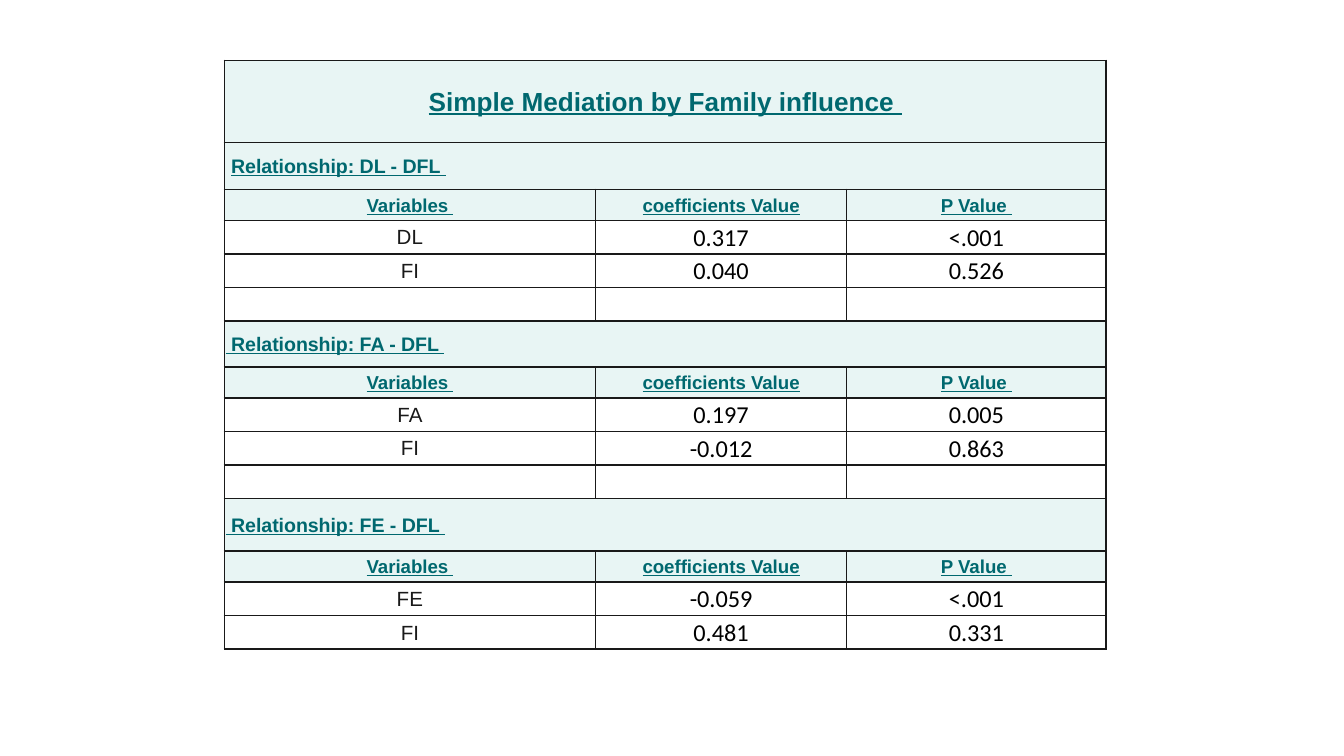
from lxml.etree import SubElement
from pptx import Presentation
from pptx.dml.color import RGBColor
from pptx.enum.text import MSO_ANCHOR, PP_ALIGN
from pptx.oxml.ns import qn
from pptx.util import Inches, Pt

TEAL = RGBColor(0x00, 0x68, 0x6F)
MINT = RGBColor(0xE8, 0xF5, 0xF4)
INK = RGBColor(0x19, 0x19, 0x19)
BLACK = RGBColor(0, 0, 0)
WHITE = RGBColor(255, 255, 255)

HEAD = {"name": "Arial", "bold": True, "underline": True}
TITLE = {**HEAD, "size": Pt(14)}
GROUP = {**HEAD, "size": Pt(10.5)}
LABEL = {**HEAD, "size": Pt(10)}
NAME = {"name": "Arial", "size": Pt(11), "bold": False, "underline": False}
VALUE = {**NAME, "name": "Calibri", "size": Pt(13)}

COLS = [2.76, 1.87, 1.93]
LABELS = ["Variables ", "coefficients Value", "P Value "]
GROUPS = [
    ("DL", 0.35, [("DL", "0.317", "<.001"), ("FI", "0.040", "0.526")]),
    ("FA", 0.34, [("FA", "0.197", "0.005"), ("FI", "-0.012", "0.863")]),
    ("FE", 0.39, [("FE", "-0.059", "<.001"), ("FI", "0.481", "0.331")]),
]


def write(cell, text, style, color, fill, align=PP_ALIGN.CENTER):
    cell.fill.solid()
    cell.fill.fore_color.rgb = fill
    para = cell.text_frame.paragraphs[0]
    para.alignment = align
    run = para.add_run()
    run.text = text
    for key, value in style.items():
        setattr(run.font, key, value)
    run.font.color.rgb = color
    return run


# Each row: height, kind, texts
rows = [(0.61, "title", ["Simple Mediation by Family influence "])]
for i, (name, height, data) in enumerate(GROUPS):
    if i:
        rows.append((0.25, "gap", []))
    rows.append((height, "group", [f"Relationship: {name} - DFL "]))
    rows.append((0.23, "label", LABELS))
    rows += [(0.25, "data", texts) for texts in data]

prs = Presentation()
prs.slide_width = Inches(10)
prs.slide_height = Inches(10) * 9 // 16
slide = prs.slides.add_slide(prs.slide_layouts[6])
frame = slide.shapes.add_table(
    len(rows), len(COLS), Inches(1.67), Inches(0.45),
    Inches(sum(COLS)), Inches(sum(row[0] for row in rows)))
table = frame.table
table.first_row = table.horz_banding = False
for col, width in zip(table.columns, COLS):
    col.width = Inches(width)

for cell in table.iter_cells():
    cell.vertical_anchor = MSO_ANCHOR.MIDDLE
    cell.margin_left = cell.margin_right = cell.margin_top = Inches(0.01)
    cell.margin_bottom = 0
    props = cell._tc.get_or_add_tcPr()
    for side in ("lnL", "lnR", "lnT", "lnB"):
        line = SubElement(props, qn(f"a:{side}"), w=str(Pt(1)))
        paint = SubElement(line, qn("a:solidFill"))
        SubElement(paint, qn("a:srgbClr"), val=str(INK))

for r, (height, kind, texts) in enumerate(rows):
    table.rows[r].height = Inches(height)
    cells = list(table.rows[r].cells)
    if kind in ("title", "group"):
        cells[0].merge(cells[-1])
    if kind == "title":
        write(cells[0], texts[0], TITLE, TEAL, MINT)
    elif kind == "group":
        lead = write(cells[0], " ", GROUP, TEAL, MINT, PP_ALIGN.LEFT)
        lead.font.underline = r > 1
        write(cells[0], texts[0], GROUP, TEAL, MINT, PP_ALIGN.LEFT)
    elif kind == "label":
        for cell, text in zip(cells, texts):
            write(cell, text, LABEL, TEAL, MINT)
    elif kind == "data":
        write(cells[0], texts[0], NAME, INK, WHITE)
        for cell, text in zip(cells[1:], texts[1:]):
            write(cell, text, VALUE, BLACK, WHITE)
    else:
        for cell in cells:
            cell.fill.background()
            # Keeps the empty row from growing to the default text size
            para = cell.text_frame.paragraphs[0]
            SubElement(para._p, qn("a:endParaRPr"), sz="1100")

prs.save("out.pptx")
